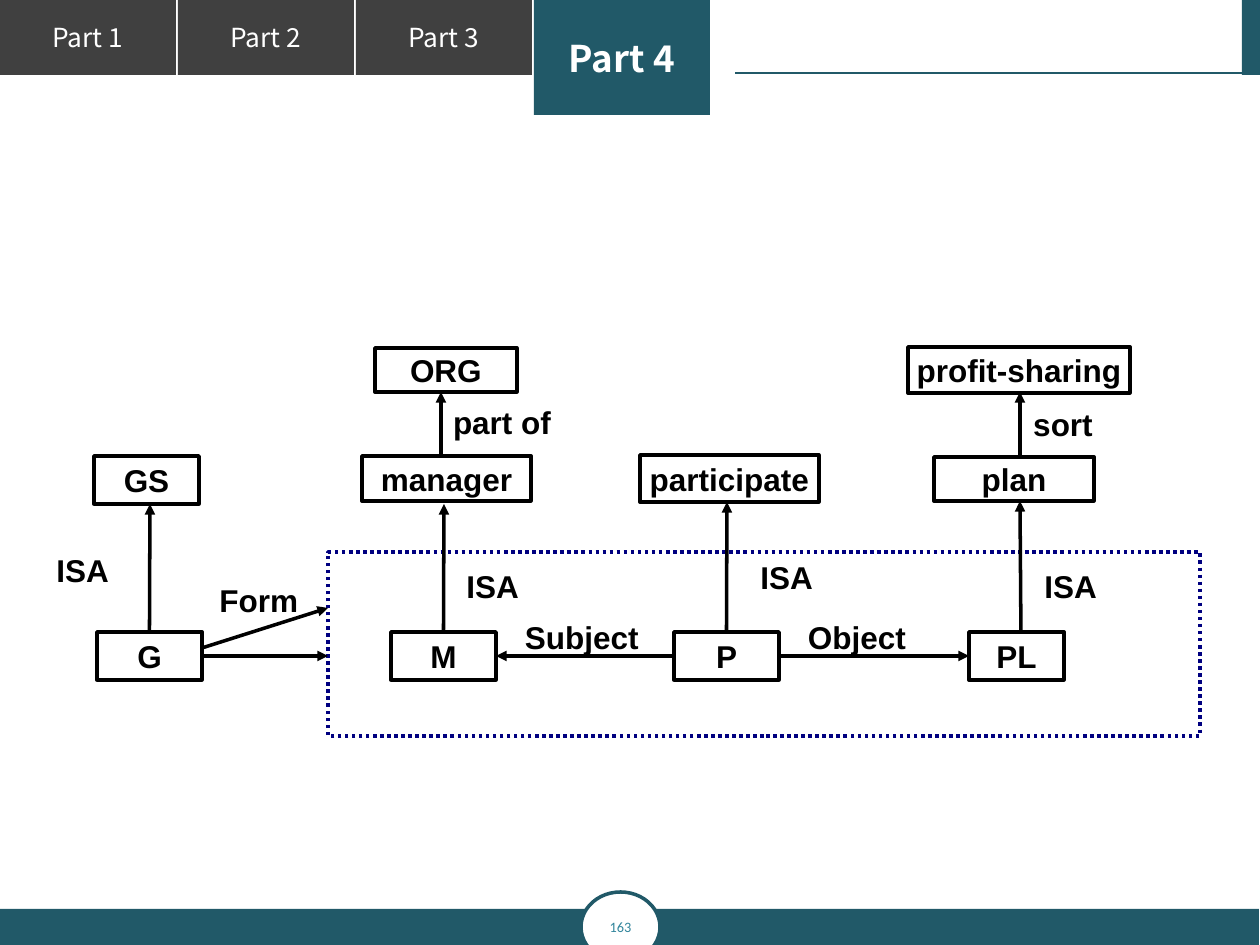
from lxml.etree import SubElement
from pptx import Presentation
from pptx.dml.color import RGBColor
from pptx.enum.dml import MSO_LINE
from pptx.enum.shapes import MSO_CONNECTOR, MSO_SHAPE
from pptx.enum.text import MSO_ANCHOR, PP_ALIGN
from pptx.oxml.ns import qn
from pptx.util import Emu, Pt

PX = 914400 // 126
COLORS = {
    "teal": "215968", "gray": "404040", "white": "FFFFFF",
    "black": "000000", "navy": "000080", "number": "31859C",
}
TOP, LEFT, BOTTOM, RIGHT = range(4)


def color(name):
    return RGBColor.from_string(COLORS[name])


class Diagram:
    """Style of the semantic network and the page it is drawn on."""

    font = "Arial"
    size = 18
    stroke = 2

    def __init__(self, page):
        self.page = page

    def set_text(self, shape, text, font=font, size=size, ink="black", bold=True,
                 align=PP_ALIGN.CENTER, wrap=False):
        frame = shape.text_frame
        frame.word_wrap = wrap
        frame.vertical_anchor = MSO_ANCHOR.MIDDLE
        frame.text = text
        para = frame.paragraphs[0]
        para.alignment = align
        para.font.name, para.font.size, para.font.bold = font, Pt(size), bold
        para.font.color.rgb = color(ink)

    def shape(self, x, y, width, height, fill=None, line=None, kind=MSO_SHAPE.RECTANGLE):
        shape = self.page.shapes.add_shape(
            kind, *(Emu(value * PX) for value in (x, y, width, height)))
        shape.shadow.inherit = False
        if fill:
            shape.fill.solid()
            shape.fill.fore_color.rgb = color(fill)
        else:
            shape.fill.background()
        if line:
            shape.line.color.rgb = color(line)
            shape.line.width = Pt(self.stroke)
        else:
            shape.line.fill.background()
        return shape

    def node(self, text, x, y, width, height):
        box = self.shape(x, y, width, height, line="black")
        self.set_text(box, text)
        return box

    def label(self, text, x, y, width, height, align=PP_ALIGN.LEFT, inset=None):
        box = self.page.shapes.add_textbox(
            *(Emu(value * PX) for value in (x, y, width, height)))
        self.set_text(box, text, align=align, wrap=align == PP_ALIGN.LEFT)
        if inset is not None:
            frame = box.text_frame
            frame.margin_left = frame.margin_right = Emu(inset * PX)
            frame.margin_top = frame.margin_bottom = Emu(PX)

    def line(self, start, end, ink="black", width=stroke):
        connector = self.page.shapes.add_connector(
            MSO_CONNECTOR.STRAIGHT, *(Emu(value * PX) for value in (*start, *end)))
        connector.line.color.rgb = color(ink)
        connector.line.width = Pt(width)
        SubElement(connector._element.spPr, qn("a:effectLst"))
        return connector

    def arrow(self, start, end, source=None, target=None):
        connector = self.line(start, end)
        outline = connector._element.spPr.find(qn("a:ln"))
        SubElement(outline, qn("a:tailEnd"), type="triangle")
        if source:
            connector.begin_connect(*source)
        if target:
            connector.end_connect(*target)


def main():
    deck = Presentation()
    deck.slide_width, deck.slide_height = Emu(1260 * PX), Emu(945 * PX)
    page = deck.slides.add_slide(deck.slide_layouts[6])
    diagram = Diagram(page)

    # Part tabs, the last one active
    for index in range(4):
        active = index == 3
        tab = diagram.shape(index * 178, 0, 176, 115 if active else 75,
                            fill="teal" if active else "gray")
        diagram.set_text(tab, f"Part {index + 1}", "Noto Sans CJK SC",
                         21 if active else 15, "white", active)

    # Header and footer bars, page number
    diagram.shape(1242, 0, 18, 75, fill="teal")
    diagram.shape(0, 909, 1259, 36, fill="teal")
    badge = diagram.shape(581, 892, 79, 70, "white", "teal", MSO_SHAPE.OVAL)
    diagram.set_text(badge, "163", "Calibri", 8.2, "number", False)
    diagram.line((1251, 73), (735, 73), "teal", 0.75)

    # Dotted frame around the proposition
    frame = diagram.shape(328, 552, 872, 184, line="navy")
    frame.line.dash_style = MSO_LINE.ROUND_DOT

    # Nodes
    nodes = {text: diagram.node(text, *place) for text, *place in (
        ("GS", 94, 456, 105, 48),
        ("G", 97, 632, 105, 48),
        ("M", 391, 632, 105, 48),
        ("P", 674, 632, 105, 48),
        ("PL", 969, 632, 95, 48),
        ("manager", 362, 456, 169, 45),
        ("participate", 640, 455, 179, 47),
        ("plan", 934, 457, 160, 44),
        ("profit-sharing", 908, 347, 222, 46),
        ("ORG", 375, 348, 142, 44),
    )}
    g, m, p, pl = (nodes[name] for name in ("G", "M", "P", "PL"))

    # Horizontal relations
    diagram.arrow((202, 656), (328, 656), (g, RIGHT))
    diagram.arrow((202, 648), (328, 608))
    diagram.arrow((674, 656), (496, 656), (p, LEFT), (m, RIGHT))
    diagram.arrow((779, 656), (969, 656), (p, RIGHT), (pl, LEFT))

    # Vertical relations
    diagram.arrow((150, 632), (150, 504), (g, TOP))
    diagram.arrow((444, 632), (444, 504), (m, TOP))
    diagram.arrow((727, 632), (727, 502), (p, TOP))
    diagram.arrow((1021, 632), (1020, 501))
    diagram.arrow((1020, 457), (1020, 392))
    diagram.arrow((441, 458), (441, 392))

    # Relation labels
    for text, x, y, width in (
        ("ISA", 44, 545, 95), ("ISA", 454, 561, 105), ("ISA", 748, 552, 95),
        ("ISA", 1032, 561, 116), ("Form", 207, 575, 105),
    ):
        diagram.label(text, x, y, width, 50)
    for text, x in (("Subject", 517), ("Object", 800)):
        diagram.label(text, x, 617, 136, 40, inset=8)
    for text, x, y in (("sort", 952, 400), ("part of", 391, 398)):
        diagram.label(text, x, y, 222, 47, PP_ALIGN.CENTER)

    deck.save("out.pptx")


if __name__ == "__main__":
    main()
